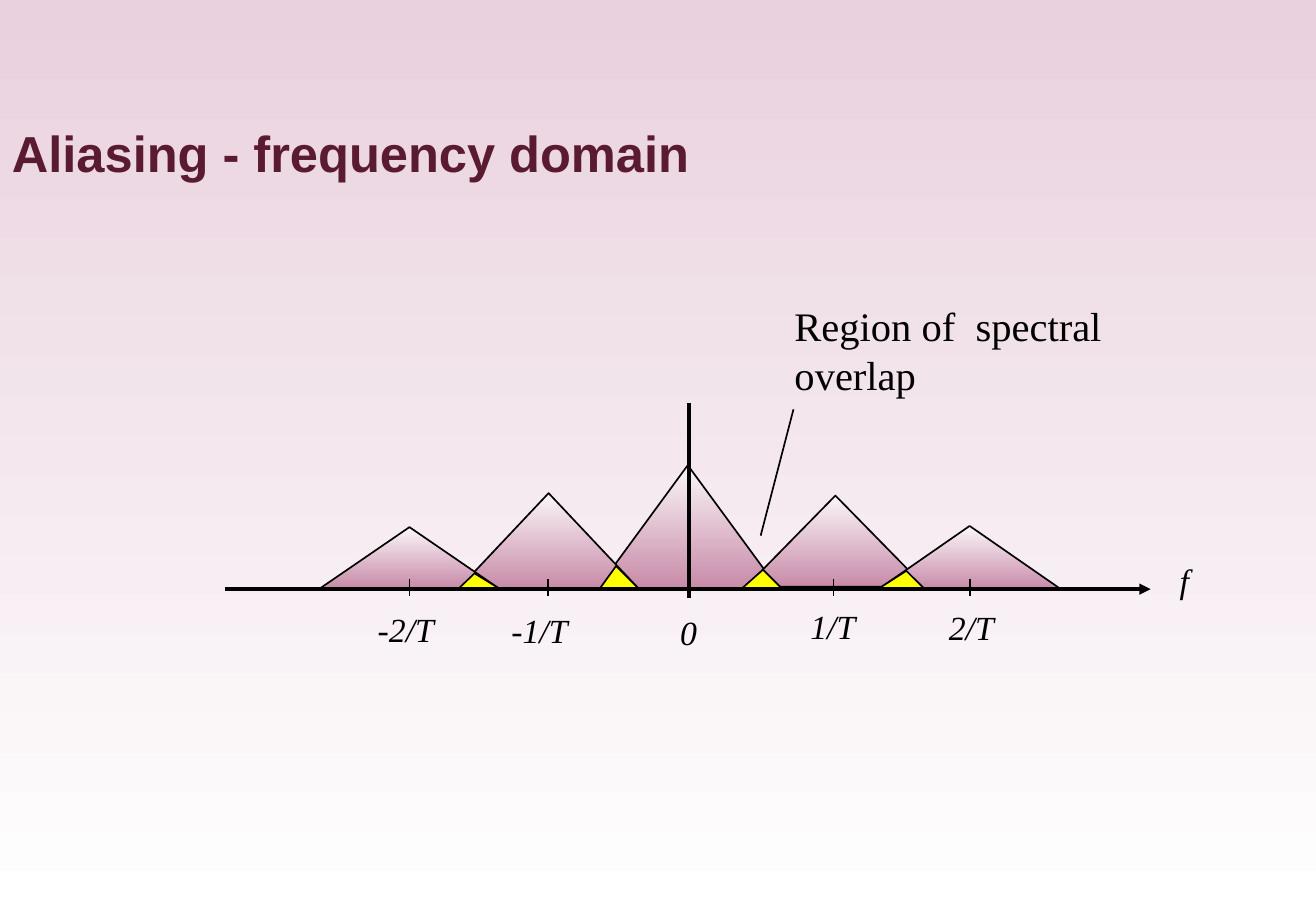
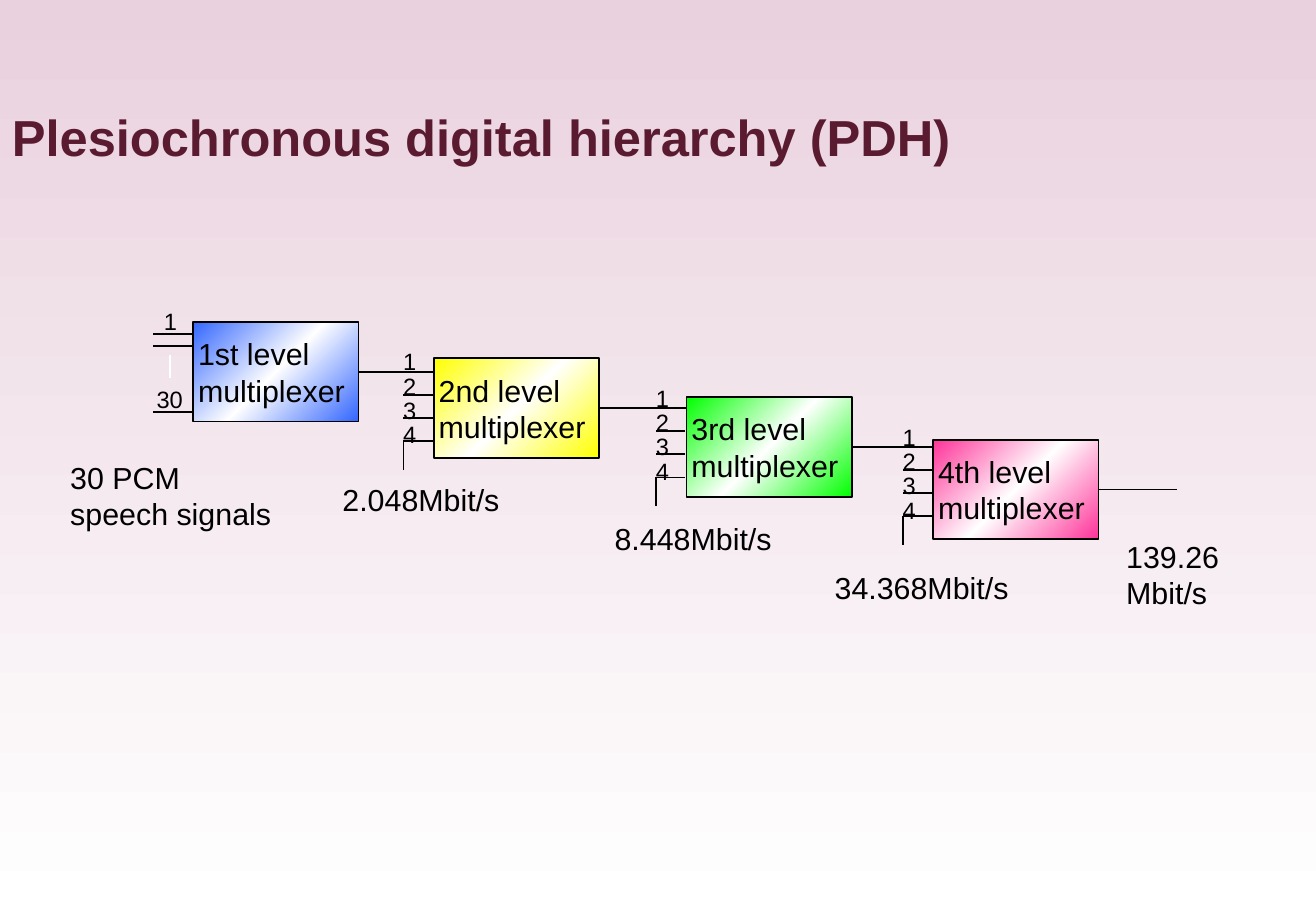
from copy import deepcopy

from lxml.etree import SubElement
from pptx import Presentation
from pptx.dml.color import RGBColor
from pptx.enum.shapes import MSO_CONNECTOR, MSO_SHAPE
from pptx.enum.text import MSO_ANCHOR, MSO_AUTO_SIZE, PP_ALIGN
from pptx.oxml.ns import qn
from pptx.util import Inches, Pt

COLORS = {
    "top": "E9D1DD", "white": "FFFFFF", "black": "000000", "title": "5A1B31",
    "pale": "FAF6F8", "rose": "C88BA9", "blue": "3366FF", "yellow": "FFFF00",
    "green": "00FF00", "pink": "FF3399",
}
TITLE = {"name": "Arial", "size": Pt(30), "bold": True}
MATH = {"name": "Times New Roman", "size": Pt(20), "italic": True}
NOTE = {"name": "Times New Roman", "size": Pt(24)}
BODY = {"name": "Arial", "size": Pt(18)}
SMALL = {"name": "Arial", "size": Pt(14)}


def apply(item, values):
    for key, value in values.items():
        setattr(item, key, value)


def tint(name):
    return RGBColor.from_string(COLORS[name])


class Deck:
    def __init__(self):
        self.prs = Presentation()
        apply(self.prs, {"slide_width": Inches(10.83), "slide_height": Inches(7.5)})
        self.slide = None

    def page(self, title, top, high):
        self.slide = self.prs.slides.add_slide(self.prs.slide_layouts[6])
        self.blend(self.slide.background.fill, self.slide.element, ("top", "white"), 270)
        box = self.text(title, 0, top, 10.83, high, TITLE, "title", wrap=True)
        apply(box.text_frame, {"auto_size": MSO_AUTO_SIZE.NONE,
                               "vertical_anchor": MSO_ANCHOR.MIDDLE})

    def blend(self, fill, node, names, angle):
        fill.gradient()
        fill.gradient_angle = angle
        stops = node.xpath(".//a:gsLst")[0]
        for _ in names[2:]:
            stops.insert(1, deepcopy(stops[0]))
        for i, (stop, name) in enumerate(zip(fill.gradient_stops, names)):
            stop.color.rgb = tint(name)
            stop.position = i / (len(names) - 1)

    def label(self, frame, text, font, color="black"):
        frame.text = text
        for para in frame.paragraphs:
            para.alignment = PP_ALIGN.LEFT
            apply(para.font, font)
            para.font.color.rgb = tint(color)

    def text(self, text, left, top, wide, high, font, color="black", wrap=False):
        box = self.slide.shapes.add_textbox(
            Inches(left), Inches(top), Inches(wide), Inches(high))
        self.label(box.text_frame, text, font, color)
        apply(box.text_frame, {"word_wrap": wrap,
                               "auto_size": MSO_AUTO_SIZE.SHAPE_TO_FIT_TEXT})
        return box

    def shape(self, kind, left, top, wide, high, names, angle=270):
        item = self.slide.shapes.add_shape(
            kind, Inches(left), Inches(top), Inches(wide), Inches(high))
        item.shadow.inherit = False
        if len(names) > 1:
            self.blend(item.fill, item.element, names, angle)
        else:
            item.fill.solid()
            item.fill.fore_color.rgb = tint(names[0])
        item.line.color.rgb = tint("black")
        item.line.width = Pt(1)
        return item

    def peak(self, left, top, wide, high, names, apex=0.5):
        item = self.shape(MSO_SHAPE.ISOSCELES_TRIANGLE, left, top, wide, high, names)
        item.adjustments[0] = apex

    def block(self, text, left, top, color):
        item = self.shape(MSO_SHAPE.RECTANGLE, left, top, 1.36, 0.82,
                          (color, "white", color), 315)
        self.label(item.text_frame, text, BODY)
        apply(item.text_frame, {"margin_left": Inches(0.04), "margin_right": 0,
                                "word_wrap": False,
                                "vertical_anchor": MSO_ANCHOR.MIDDLE})
        return item

    def line(self, x1, y1, x2, y2, width=1, color="black", start=None, arrow=False):
        item = self.slide.shapes.add_connector(
            MSO_CONNECTOR.STRAIGHT, Inches(x1), Inches(y1), Inches(x2), Inches(y2))
        item.line.color.rgb = tint(color)
        item.line.width = Pt(width)
        if start is not None:
            item.begin_connect(start, 3)
        props = item.element.spPr
        if arrow:
            SubElement(props.find(qn("a:ln")), qn("a:tailEnd"), type="triangle")
        SubElement(props, qn("a:effectLst"))


def alias(deck):
    deck.page("Aliasing - frequency domain", 0.83, 0.85)
    for spot in ((4.92, 3.83, 1.48, 1.01), (6.14, 4.08, 1.47, 0.75),
                 (3.78, 4.06, 1.47, 0.78), (7.23, 4.33, 1.5, 0.52),
                 (2.64, 4.34, 1.46, 0.5)):
        deck.peak(*spot, ("pale", "rose"))
    for x in (3.37, 4.51, 6.86, 7.98):
        deck.line(x, 4.77, x, 4.91)
    deck.line(5.67, 3.32, 5.67, 4.92, 2.25)
    for label, left, top, wide in (
            ("-2/T", 3.01, 4.96, 0.76), ("-1/T", 4.11, 4.97, 0.76),
            ("0", 5.5, 4.99, 0.43), ("1/T", 6.57, 4.94, 0.66),
            ("2/T", 7.71, 4.95, 0.66), ("f", 9.61, 4.56, 0.39)):
        deck.text(label, left, top, wide, 0.43, MATH)
    deck.text("Region of  spectral overlap", 6.44, 2.43, 2.73, 0.91, NOTE, wrap=True)
    deck.line(6.53, 3.37, 6.26, 4.41)
    for *spot, apex in ((3.78, 4.72, 0.32, 0.12, 0.39), (7.24, 4.7, 0.36, 0.14, 0.61),
                        (4.94, 4.66, 0.31, 0.18, 0.42), (6.11, 4.69, 0.32, 0.15, 0.53)):
        deck.peak(*spot, ("yellow",), apex)
    deck.line(1.85, 4.85, 9.47, 4.85, 2.25, arrow=True)


def inputs(deck, left, mid):
    for i in range(1, 4):
        y = mid + 0.19 * i
        deck.line(left - 0.25, y, left - 0.01, y)
    deck.line(left - 0.25, mid + 0.57, left - 0.25, mid + 0.81)
    for i in range(4):
        deck.text(str(i + 1), left - 0.35, mid - 0.25 + 0.2 * i, 0.31, 0.33, SMALL)


def levels(deck):
    deck.page("Plesiochronous digital hierarchy (PDH)", 0.82, 0.6)
    stages = (("1st", 1.59, 2.65, "blue"), ("2nd", 3.57, 2.95, "yellow"),
              ("3rd", 5.65, 3.27, "green"), ("4th", 7.68, 3.62, "pink"))
    ends = [left for _, left, _, _ in stages[1:]] + [9.69]
    for (name, left, top, color), end in zip(stages, ends):
        box = deck.block(f"{name} level\nmultiplexer", left, top, color)
        mid = top + 0.41
        deck.line(left + 1.36, mid, end, mid, start=box)
        if end != ends[-1]:
            inputs(deck, end, mid)
    for y in (2.75, 2.85, 3.39):
        deck.line(1.26, y, 1.58, y)
    deck.line(1.4, 2.92, 1.4, 3.11, color="white")
    deck.text("1", 1.25, 2.48, 0.31, 0.33, SMALL)
    deck.text("30", 1.19, 3.12, 0.42, 0.33, SMALL)
    for label, left, top, wide, high in (
            ("30 PCM\nspeech signals", 0.48, 3.73, 1.87, 0.7),
            ("2.048Mbit/s", 2.72, 3.91, 1.5, 0.4),
            ("8.448Mbit/s", 4.96, 4.23, 1.5, 0.4),
            ("34.368Mbit/s", 6.77, 4.64, 1.65, 0.4),
            ("139.26\nMbit/s", 9.17, 4.38, 0.97, 0.7)):
        deck.text(label, left, top, wide, high, BODY)


def main():
    deck = Deck()
    alias(deck)
    levels(deck)
    deck.prs.save("out.pptx")


if __name__ == "__main__":
    main()
